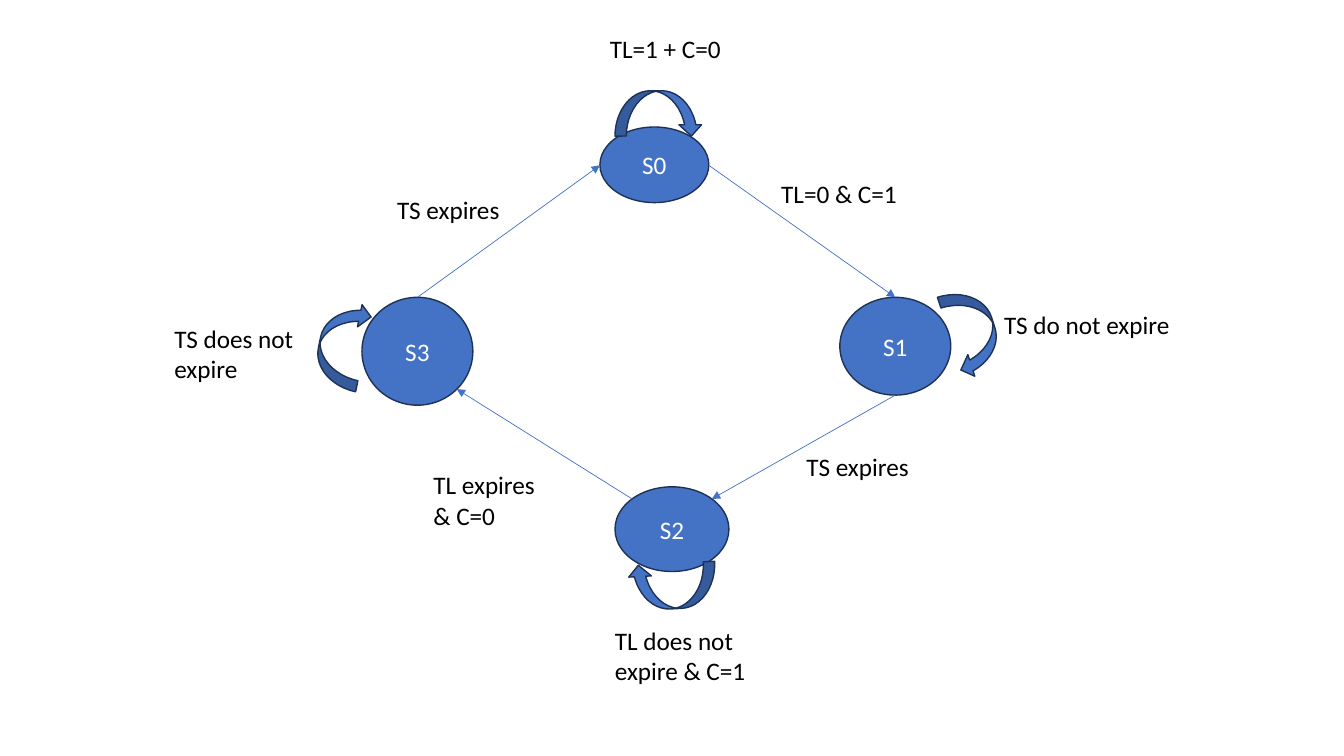
from dataclasses import dataclass
from math import cos, radians, sin

from lxml.etree import SubElement
from pptx import Presentation
from pptx.dml.color import RGBColor
from pptx.enum.shapes import MSO_CONNECTOR, MSO_SHAPE
from pptx.enum.text import MSO_ANCHOR, MSO_AUTO_SIZE, PP_ALIGN
from pptx.oxml.ns import qn
from pptx.shapes.autoshape import Shape
from pptx.shapes.shapetree import SlideShapes
from pptx.util import Emu, Pt

EMU_PER_PX = 9144  # 100 px to the inch


@dataclass(frozen=True)
class Theme:
    fill: RGBColor = RGBColor(0x44, 0x72, 0xC4)
    outline: RGBColor = RGBColor(0x1E, 0x32, 0x56)
    state_text: RGBColor = RGBColor(0xFF, 0xFF, 0xFF)
    label_text: RGBColor = RGBColor(0x00, 0x00, 0x00)
    font: str = "Calibri"
    text_size: float = 18
    outline_width: float = 1
    transition_width: float = 0.5


THEME = Theme()


@dataclass(frozen=True)
class Box:
    left: int
    top: int
    width: int
    height: int

    def emu(self) -> tuple[Emu, Emu, Emu, Emu]:
        return px(self.left), px(self.top), px(self.width), px(self.height)

    def rim_point(self, angle: float) -> tuple[int, int]:
        """Point on the inscribed ellipse, in degrees clockwise from the right."""
        x = self.left + self.width / 2 * (1 + cos(radians(angle)))
        y = self.top + self.height / 2 * (1 + sin(radians(angle)))
        return round(x), round(y)


@dataclass(frozen=True)
class Transition:
    source: str
    source_angle: float
    target: str
    target_angle: float


@dataclass(frozen=True)
class SelfLoop:
    left: int
    top: int
    rotation: float = 0


@dataclass(frozen=True)
class Label:
    text: str
    box: Box


LOOP_WIDTH, LOOP_HEIGHT = 87, 45
RIGHT, LOWER_RIGHT, BOTTOM, LEFT, UPPER_LEFT, TOP, UPPER_RIGHT = 0, 45, 90, 180, 225, 270, 315

STATES = {
    "S0": Box(595, 126, 108, 75),
    "S1": Box(833, 295, 110, 97),
    "S2": Box(610, 483, 113, 84),
    "S3": Box(359, 295, 110, 107),
}
TRANSITIONS = [
    Transition("S0", RIGHT, "S1", TOP),
    Transition("S1", BOTTOM, "S2", UPPER_RIGHT),
    Transition("S2", UPPER_LEFT, "S3", LOWER_RIGHT),
    Transition("S3", TOP, "S0", LEFT),
]
SELF_LOOPS = [
    SelfLoop(610, 90),
    SelfLoop(921, 307, 72.1),
    SelfLoop(623, 559, 177),
    SelfLoop(296, 319, 281.7),
]
LABELS = [
    Label("TL=1 + C=0", Box(595, 28, 133, 40)),
    Label("TL=0 & C=1", Box(765, 172, 187, 40)),
    Label("TS do not expire", Box(986, 302, 201, 40)),
    Label("TS expires", Box(790, 443, 152, 40)),
    Label("TL does not expire & C=1", Box(600, 615, 178, 71)),
    Label("TL expires & C=0", Box(420, 461, 138, 71)),
    Label("TS does not expire", Box(163, 316, 145, 71)),
    Label("TS expires", Box(384, 188, 124, 40)),
]


def px(length: int) -> Emu:
    return Emu(length * EMU_PER_PX)


def write_text(shape: Shape, text: str, *, color: RGBColor,
               align: PP_ALIGN = PP_ALIGN.LEFT, anchor: MSO_ANCHOR = MSO_ANCHOR.TOP) -> None:
    frame = shape.text_frame
    frame.word_wrap = True
    frame.vertical_anchor = anchor
    paragraph = frame.paragraphs[0]
    paragraph.alignment = align
    run = paragraph.add_run()
    run.text = text
    run.font.name = THEME.font
    run.font.size = Pt(THEME.text_size)
    run.font.color.rgb = color


def add_filled_shape(shapes: SlideShapes, kind: MSO_SHAPE, box: Box) -> Shape:
    shape = shapes.add_shape(kind, *box.emu())
    shape.shadow.inherit = False
    shape.fill.solid()
    shape.fill.fore_color.rgb = THEME.fill
    shape.line.color.rgb = THEME.outline
    shape.line.width = Pt(THEME.outline_width)
    return shape


def add_state(shapes: SlideShapes, name: str, box: Box) -> None:
    state = add_filled_shape(shapes, MSO_SHAPE.OVAL, box)
    write_text(state, name, color=THEME.state_text,
               align=PP_ALIGN.CENTER, anchor=MSO_ANCHOR.MIDDLE)


def add_self_loop(shapes: SlideShapes, loop: SelfLoop) -> None:
    box = Box(loop.left, loop.top, LOOP_WIDTH, LOOP_HEIGHT)
    arrow = add_filled_shape(shapes, MSO_SHAPE.CURVED_DOWN_ARROW, box)
    arrow.rotation = loop.rotation


def add_transition(shapes: SlideShapes, transition: Transition) -> None:
    start = STATES[transition.source].rim_point(transition.source_angle)
    end = STATES[transition.target].rim_point(transition.target_angle)
    connector = shapes.add_connector(MSO_CONNECTOR.STRAIGHT, *map(px, start + end))
    connector.line.color.rgb = THEME.fill
    connector.line.width = Pt(THEME.transition_width)
    SubElement(connector.line._get_or_add_ln(), qn("a:tailEnd"), type="triangle")
    SubElement(connector._element.spPr, qn("a:effectLst"))


def add_label(shapes: SlideShapes, label: Label) -> None:
    textbox = shapes.add_textbox(*label.box.emu())
    write_text(textbox, label.text, color=THEME.label_text)
    textbox.text_frame.auto_size = MSO_AUTO_SIZE.SHAPE_TO_FIT_TEXT


def main() -> None:
    presentation = Presentation()
    presentation.slide_width, presentation.slide_height = px(1333), px(750)
    slide = presentation.slides.add_slide(presentation.slide_layouts[6])
    for name, box in STATES.items():
        add_state(slide.shapes, name, box)
    for loop in SELF_LOOPS:
        add_self_loop(slide.shapes, loop)
    for transition in TRANSITIONS:
        add_transition(slide.shapes, transition)
    for label in LABELS:
        add_label(slide.shapes, label)
    presentation.save("out.pptx")


if __name__ == "__main__":
    main()
